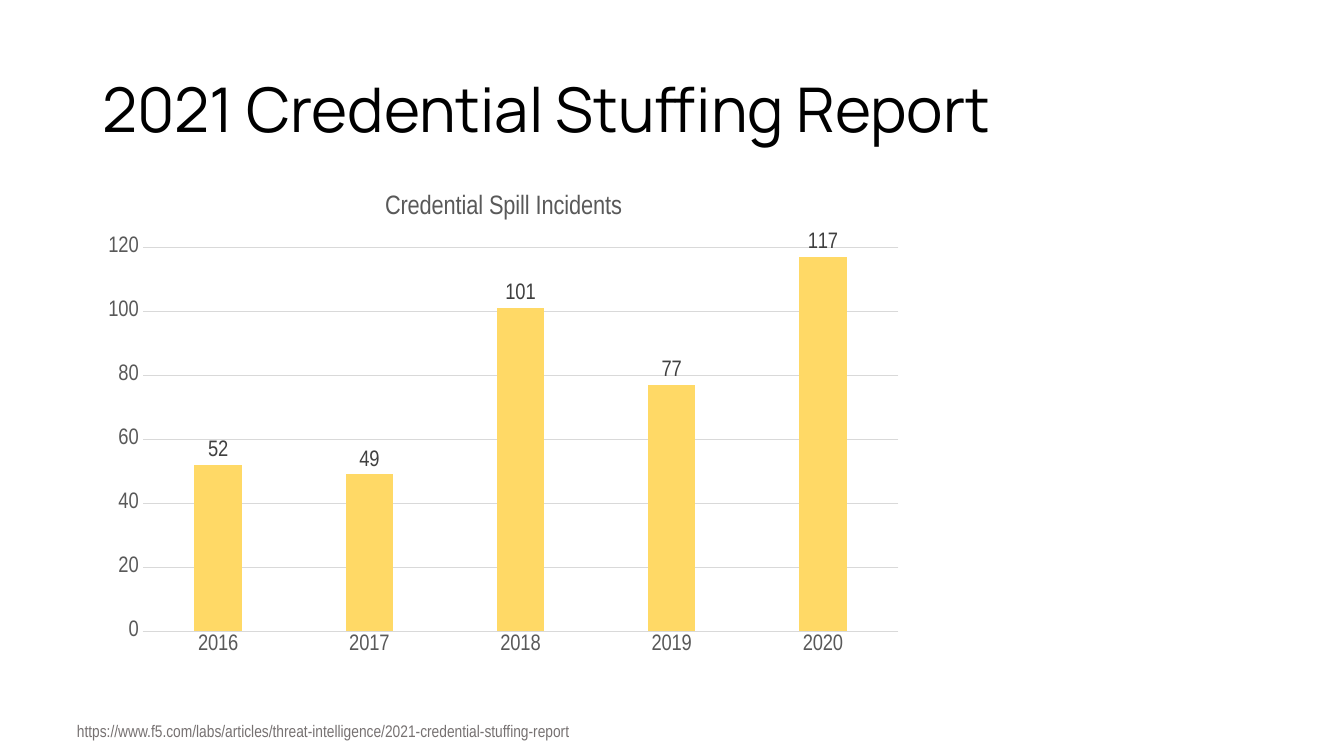
"""Build the credential spill slide with its column chart."""
import pptx
import pptx.chart.data
import pptx.dml.color
import pptx.enum.chart
import pptx.enum.text
import pptx.util

PX = 914400 / 100.8
THEME = {
    "head": {"size": 44, "face": "Manrope", "color": "000000"},
    "title": {"size": 19, "face": "Arial Narrow", "color": "595959"},
    "axis": {"size": 16, "face": "Arial Narrow", "color": "595959"},
    "label": {"size": 16, "face": "Arial Narrow", "color": "404040"},
    "source": {"size": 12, "face": "Arial Narrow", "color": "767171"},
    "bar": "FFD966",
    "grid": "D9D9D9",
}


def style(font, size, face, color):
    """Apply one type style to a font."""
    font.size = pptx.util.Pt(size)
    font.name = face
    font.bold = False
    font.color.rgb = pptx.dml.color.RGBColor.from_string(color)


def write(frame, text, space=None, **look):
    """Write left-aligned text in a frame with the given type style."""
    para = frame.paragraphs[0]
    para.alignment = pptx.enum.text.PP_ALIGN.LEFT
    para.line_spacing = space
    run = para.add_run()
    run.text = text
    style(run.font, **look)


deck = pptx.Presentation()
deck.slide_width, deck.slide_height = round(1344 * PX), round(756 * PX)
slide = deck.slides.add_slide(deck.slide_layouts.get_by_name("Title Only"))

head = slide.shapes.title
head.left, head.top, head.width, head.height = [round(n * PX) for n in (92, 40, 1159, 146)]
head.text_frame.vertical_anchor = pptx.enum.text.MSO_ANCHOR.MIDDLE
head.text_frame.auto_size = pptx.enum.text.MSO_AUTO_SIZE.NONE
write(head.text_frame, "2021 Credential Stuffing Report", space=0.9, **THEME["head"])

data = pptx.chart.data.CategoryChartData(number_format="General")
data.categories = ["2016", "2017", "2018", "2019", "2020"]
data.add_series("Series 1", [52, 49, 101, 77, 117])
place = [round(n * PX) for n in (92, 172, 823, 493)]
kind = pptx.enum.chart.XL_CHART_TYPE.COLUMN_CLUSTERED
chart = slide.shapes.add_chart(kind, *place, data).chart
style(chart.font, **THEME["axis"])
chart.has_legend = False
chart.has_title = True
write(chart.chart_title.text_frame, "Credential Spill Incidents", **THEME["title"])
chart.chart_title.include_in_layout = False

years, count = chart.category_axis, chart.value_axis
for axis in (years, count):
    axis.major_tick_mark = axis.minor_tick_mark = pptx.enum.chart.XL_TICK_MARK.NONE
    style(axis.tick_labels.font, **THEME["axis"])
count.minimum_scale, count.maximum_scale, count.major_unit = 0, 120, 20
count.tick_labels.number_format = "#,##0"
count.tick_labels.number_format_is_linked = False
count.format.line.fill.background()
for line in (years.format.line, count.major_gridlines.format.line):
    line.color.rgb = pptx.dml.color.RGBColor.from_string(THEME["grid"])
    line.width = pptx.util.Pt(0.75)

plot = chart.plots[0]
plot.gap_width, plot.overlap = 219, -27
plot.vary_by_categories = False
fill = plot.series[0].format.fill
fill.solid()
fill.fore_color.rgb = pptx.dml.color.RGBColor.from_string(THEME["bar"])
plot.has_data_labels = True
plot.data_labels.show_value = True
plot.data_labels.position = pptx.enum.chart.XL_LABEL_POSITION.OUTSIDE_END
style(plot.data_labels.font, **THEME["label"])

place = [round(n * PX) for n in (67, 716, 590, 30)]
source = slide.shapes.add_textbox(*place).text_frame
source.word_wrap = True
source.auto_size = pptx.enum.text.MSO_AUTO_SIZE.SHAPE_TO_FIT_TEXT
link = "https://www.f5.com/labs/articles/threat-intelligence/2021-credential-stuffing-report"
write(source, link, **THEME["source"])

deck.save("out.pptx")
